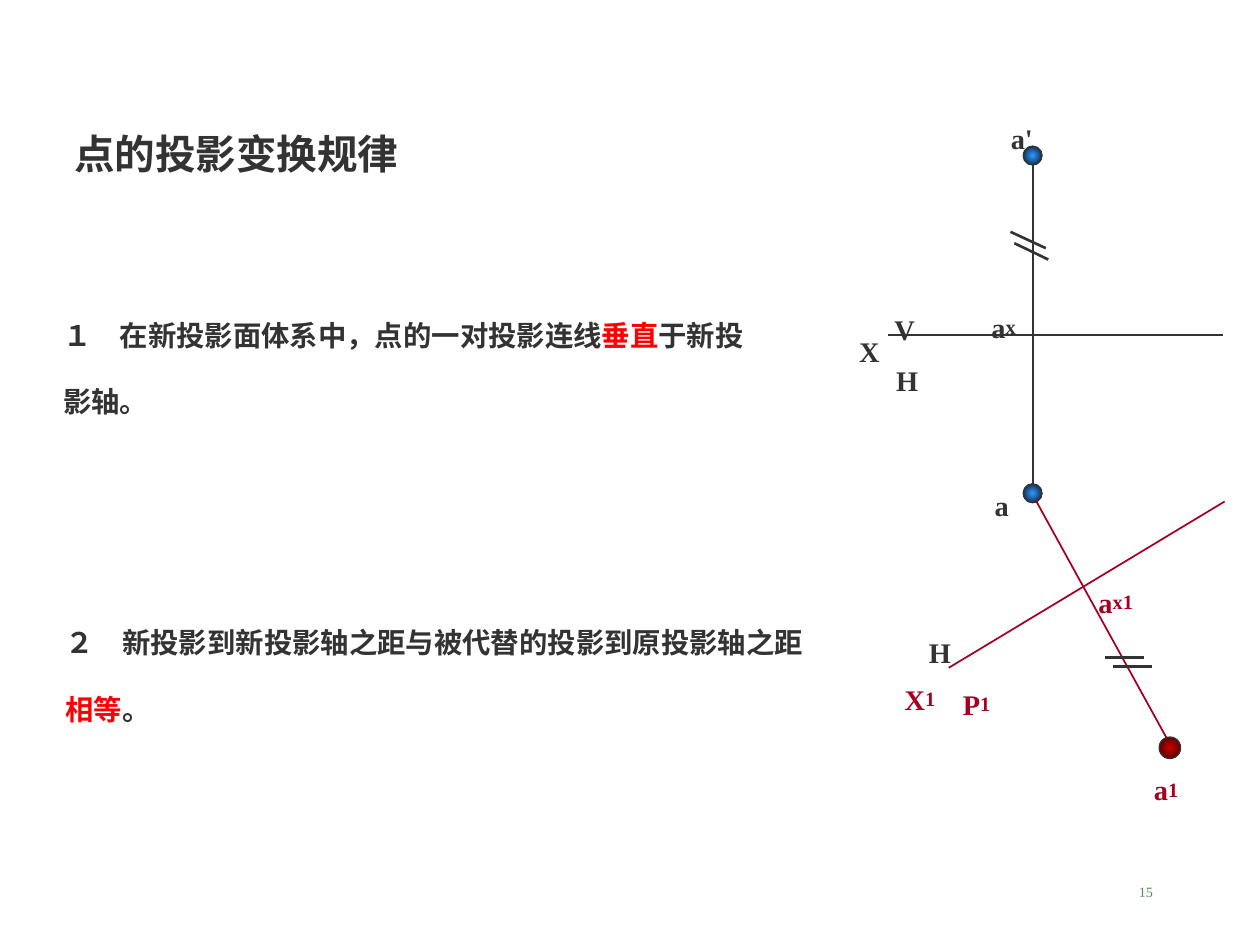
from lxml import etree
from pptx import Presentation, util as u
from pptx.dml.color import RGBColor
from pptx.enum import shapes, text
from pptx.oxml.ns import qn

INK, RED, WINE = "333333", "FF0000", "A50021"
SERIF, SANS = "Times New Roman", "Noto Sans CJK SC"
LEFT, MID, RIGHT = text.PP_ALIGN.LEFT, text.PP_ALIGN.CENTER, text.PP_ALIGN.RIGHT


def paint(color):
    return RGBColor.from_string(color)


class Page:
    def __init__(self, slide):
        self.slide = slide
        self.low = "-25000"

    def place(self, shape, box):
        shape.left, shape.top, shape.width, shape.height = map(u.Inches, box)

    def put(self, frame, runs, font=SERIF, bold=True):
        para = frame.paragraphs[0]
        size, color = runs[0][1:]
        base = para.font
        base.name, base.bold = font, bold
        base.size, base.color.rgb = u.Pt(size), paint(color)
        for words, pts, tint in runs:
            run = para.add_run()
            run.text = words
            if pts != size:
                run.font.size = u.Pt(pts)
            if tint != color:
                run.font.color.rgb = paint(tint)
            props = run.font._element
            props.set("baseline", self.low)
            etree.SubElement(props, qn("a:ea")).set("typeface", SANS)
        return para

    def fill(self, holder, box, runs, font=SERIF):
        self.place(holder, box)
        frame = holder.text_frame
        frame.word_wrap = True
        frame.auto_size = text.MSO_AUTO_SIZE.SHAPE_TO_FIT_TEXT
        frame.vertical_anchor = text.MSO_ANCHOR.TOP
        para = frame.paragraphs[0]
        para.alignment = LEFT
        para.space_before = u.Pt(0)
        props = para._p.get_or_add_pPr()
        props.set("marL", "0")
        props.set("indent", "0")
        etree.SubElement(props, qn("a:buNone"))
        self.put(frame, runs, font)

    def label(self, left, top, width, main, sub="", color=INK, align=MID):
        box = self.slide.shapes.add_textbox(0, 0, 0, 0)
        self.place(box, (left, top, width, 0.57))
        frame = box.text_frame
        frame.word_wrap = False
        frame.auto_size = text.MSO_AUTO_SIZE.SHAPE_TO_FIT_TEXT
        frame.vertical_anchor = text.MSO_ANCHOR.MIDDLE
        runs = [(main, 28, color)]
        if sub:
            runs.append((sub, 20, color))
        self.put(frame, runs).alignment = align

    def number(self, box, words):
        shape = self.slide.shapes.add_textbox(0, 0, 0, 0)
        self.place(shape, box)
        shape.text_frame.word_wrap = True
        para = self.put(shape.text_frame, [(words, 14, "578963")], bold=False)
        para.alignment = RIGHT

    def line(self, ends, color=INK, width=1):
        link = self.slide.shapes.add_connector(
            shapes.MSO_CONNECTOR.STRAIGHT, *map(u.Inches, ends))
        link.line.color.rgb = paint(color)
        link.line.width = u.Pt(width)
        etree.SubElement(link._element.spPr, qn("a:effectLst"))

    def dot(self, left, top, size, inner, outer):
        ball = self.slide.shapes.add_shape(shapes.MSO_SHAPE.OVAL, 0, 0, 0, 0)
        self.place(ball, (left, top, size, size))
        ball.shadow.inherit = False
        ball.fill.gradient()
        for stop, color, spot in zip(ball.fill.gradient_stops, (inner, outer), (0, 1)):
            stop.color.rgb = paint(color)
            stop.position = spot
        grad = ball._element.spPr.find(qn("a:gradFill"))
        grad.remove(grad.find(qn("a:lin")))
        shade = etree.SubElement(grad, qn("a:path"))
        shade.set("path", "circle")
        focus = etree.SubElement(shade, qn("a:fillToRect"))
        for side in "ltrb":
            focus.set(side, "50000")
        ball.line.color.rgb = paint(INK)
        ball.line.width = u.Pt(0.75)


def main():
    deck = Presentation()
    deck.slide_width, deck.slide_height = u.Inches(10), u.Inches(7.5)
    slide = deck.slides.add_slide(deck.slide_layouts[3])
    page = Page(slide)
    title, first, second = slide.placeholders

    page.fill(title, (0.49, 0.6, 5.06, 0.77), [("点的投影变换规律", 40, INK)], SANS)
    page.fill(first, (0.4, 2.21, 5.76, 1.03), [
        ("１　在新投影面体系中，点的一对投影连线", 28, INK),
        ("垂直", 28, RED), ("于新投影轴。", 28, INK)])
    page.fill(second, (0.42, 4.65, 6.25, 1.03), [
        ("２　新投影到新投影轴之距与被代替的投影到原投影轴之距", 28, INK),
        ("相等", 28, RED), ("。", 28, INK)])
    page.number((7.17, 6.83, 2.08, 0.5), "15")

    page.line((7.05, 2.66, 9.71, 2.66))
    page.line((8.2, 1.22, 8.2, 3.92))
    for top in (1.16, 3.84):
        page.dot(8.12, top, 0.15, "3399FF", "030A10")
    page.line((7.53, 5.3, 9.72, 3.98), WINE)
    page.line((8.22, 3.97, 9.31, 5.95), WINE)
    for tick in ((8.02, 1.84, 8.3, 1.97), (8.05, 1.93, 8.32, 2.06),
                 (8.77, 5.22, 9.08, 5.22), (8.83, 5.29, 9.14, 5.29)):
        page.line(tick, width=1.5)
    page.dot(9.2, 5.85, 0.17, "CC0000", "360000")

    for mark in (
        (6.66, 2.37, 0.48, "X"),
        (6.94, 2.2, 0.48, "V"),
        (6.95, 2.6, 0.5, "H"),
        (7.86, 0.68, 0.5, "a'"),
        (7.75, 3.59, 0.4, "a"),
        (7.7, 2.18, 0.53, "a", "x"),
        (7.21, 4.76, 0.5, "H"),
        (6.99, 5.13, 0.62, "X", "1", WINE),
        (7.46, 5.17, 0.58, "P", "1", WINE),
        (8.99, 5.85, 0.53, "a", "1", WINE),
        (8.62, 4.36, 0.67, "a", "x1", WINE, LEFT),
    ):
        page.label(*mark)

    deck.save("out.pptx")


if __name__ == "__main__":
    main()
